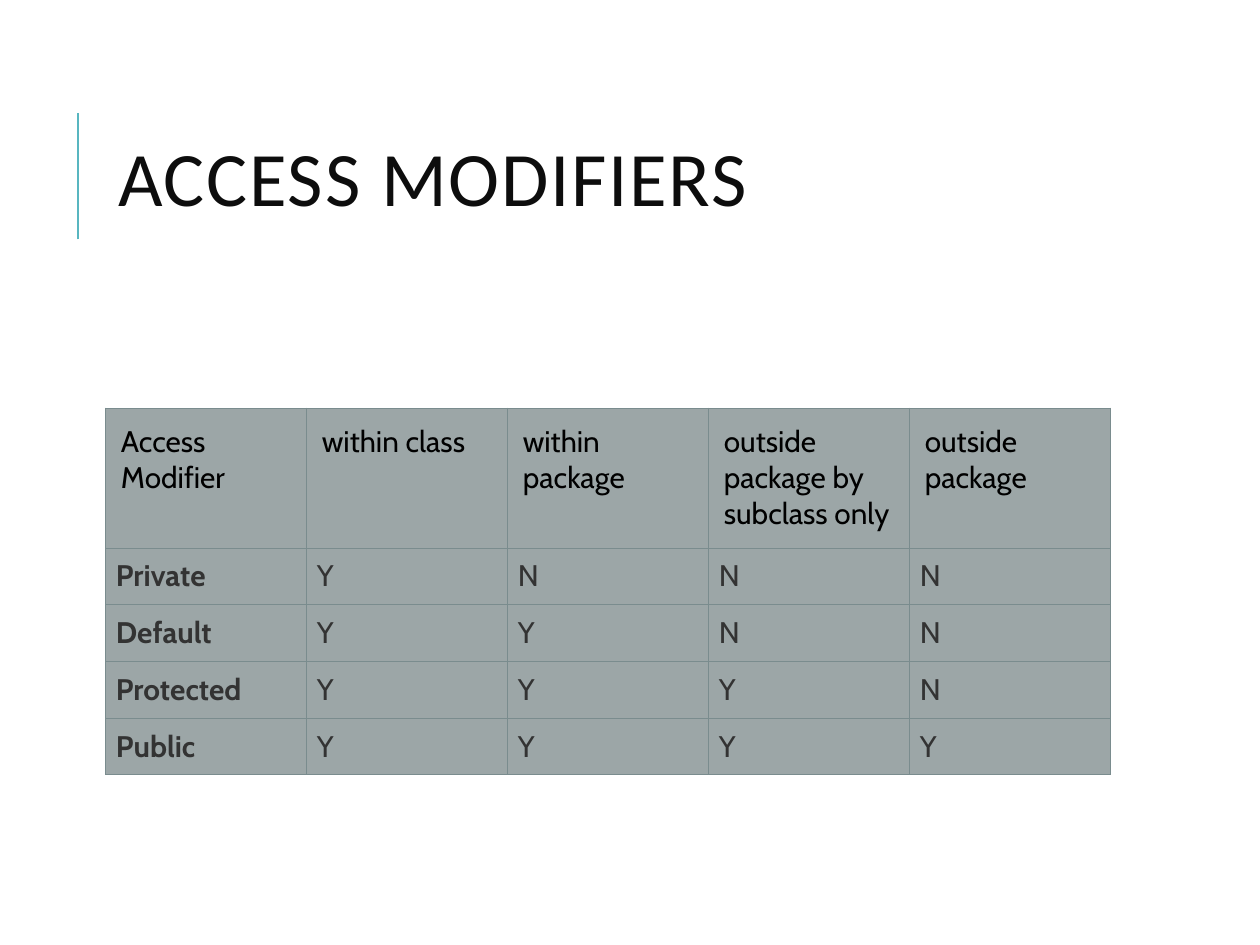
from lxml import etree
from pptx import Presentation
from pptx.dml.color import RGBColor
from pptx.enum.shapes import MSO_CONNECTOR
from pptx.enum.text import MSO_ANCHOR, PP_ALIGN
from pptx.oxml.ns import qn
from pptx.util import Inches, Pt

STRAIGHT = MSO_CONNECTOR.STRAIGHT
MIDDLE = MSO_ANCHOR.MIDDLE
LEFT, JUSTIFY = PP_ALIGN.LEFT, PP_ALIGN.JUSTIFY

COLORS = {
    "accent": "58B6C0",
    "title": "0D0D0D",
    "header": "000000",
    "body": "333333",
    "cell": "9CA6A7",
    "border": "7A8C8E",
}

HEADERS = ["Access Modifier", "within class", "within package",
           "outside package by subclass only", "outside package"]
ACCESS = {
    "Private": "YNNN",
    "Default": "YYNN",
    "Protected": "YYYN",
    "Public": "YYYY",
}


def rgb(name):
    return RGBColor.from_string(COLORS[name])


class SlideBuilder:
    """Holds the fonts and the slide being filled."""

    title_font = "Calibri"
    table_font = "Cabin"

    def __init__(self, slide):
        self.slide = slide

    def run(self, p, text, font, size, color, bold=False):
        r = p.add_run()
        r.text = text
        r.font.name = font
        r.font.size = Pt(size)
        r.font.bold = bold
        r.font.color.rgb = rgb(color)
        return r

    def line(self, x1, y1, x2, y2, color, width):
        s = self.slide.shapes.add_connector(
            STRAIGHT, Inches(x1), Inches(y1), Inches(x2), Inches(y2))
        s.line.color.rgb = rgb(color)
        s.line.width = Pt(width)
        etree.SubElement(s._element.spPr, qn("a:effectLst"))

    def title(self, text, x, y, w, h):
        s = self.slide.shapes.add_textbox(Inches(x), Inches(y), Inches(w), Inches(h))
        tf = s.text_frame
        tf.word_wrap = True
        tf.vertical_anchor = MIDDLE
        p = tf.paragraphs[0]
        p.line_spacing = 0.8
        r = self.run(p, text, self.title_font, 44, "title")
        r.font._element.set("spc", "100")

    def borders(self, cell, color, width):
        """Outline all four sides; borders must precede the fill in the cell XML."""
        tc_pr = cell._tc.get_or_add_tcPr()
        for i, side in enumerate(("a:lnL", "a:lnR", "a:lnT", "a:lnB")):
            ln = etree.Element(qn(side), w=str(Pt(width)))
            fill = etree.SubElement(ln, qn("a:solidFill"))
            etree.SubElement(fill, qn("a:srgbClr"), val=COLORS[color])
            tc_pr.insert(i, ln)

    def cell(self, cell, text, inset, align, color, bold):
        cell.margin_left = cell.margin_right = Inches(inset)
        cell.margin_top = cell.margin_bottom = Inches(inset)
        cell.fill.solid()
        cell.fill.fore_color.rgb = rgb("cell")
        self.borders(cell, "border", 0.75)
        p = cell.text_frame.paragraphs[0]
        p.alignment = align
        self.run(p, text, self.table_font, 17, color, bold)

    def table(self, rows, x, y, col_width, header_height, row_height):
        n_rows, n_cols = len(rows), len(rows[0])
        height = header_height + (n_rows - 1) * row_height
        tbl = self.slide.shapes.add_table(
            n_rows, n_cols, Inches(x), Inches(y),
            Inches(n_cols * col_width), Inches(height)).table
        tbl.first_row = tbl.horz_banding = False
        for col in tbl.columns:
            col.width = Inches(col_width)
        for i, row in enumerate(rows):
            tbl.rows[i].height = Inches(row_height if i else header_height)
            for j, text in enumerate(row):
                if i == 0:
                    self.cell(tbl.cell(i, j), text, 0.12, LEFT, "header", False)
                else:
                    self.cell(tbl.cell(i, j), text, 0.08, JUSTIFY, "body", j == 0)


def main():
    prs = Presentation()
    prs.slide_width, prs.slide_height = Inches(10), Inches(7.5)
    b = SlideBuilder(prs.slides.add_slide(prs.slide_layouts[6]))
    b.line(0.62, 1.9, 0.62, 0.9, "accent", 1.5)
    b.title("ACCESS MODIFIERS", 0.84, 0.64, 7.97, 1.64)
    rows = [HEADERS] + [[name, *flags] for name, flags in ACCESS.items()]
    b.table(rows, x=0.84, y=3.24, col_width=1.595, header_height=1.11, row_height=0.45)
    prs.save("out.pptx")


if __name__ == "__main__":
    main()
